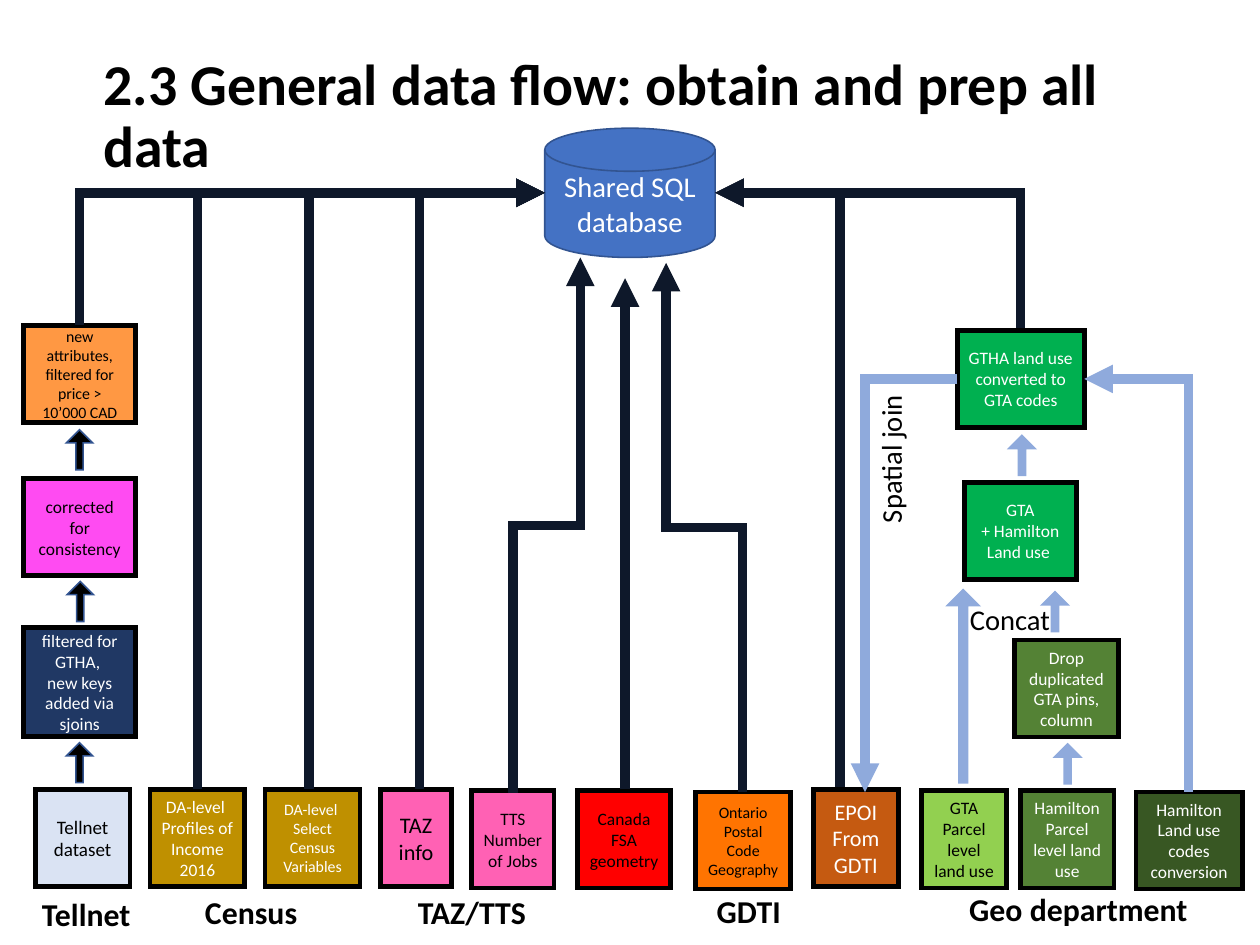
from lxml import etree
from pptx import Presentation
from pptx import util as u
from pptx.dml.color import RGBColor
from pptx.enum import shapes, text
from pptx.oxml.ns import qn

Pt = u.Pt
SHAPE = shapes.MSO_SHAPE
COLORS = {
    "black": "000000", "white": "FFFFFF", "ice": "DAE3F3", "navy": "203864",
    "magenta": "FF4BF2", "peach": "FF9843", "gold": "BF9000", "pink": "FF61B4",
    "red": "FF0000", "orange": "FF7401", "rust": "C55A11", "lime": "92D050",
    "olive": "548235", "forest": "385723", "green": "00B050", "blue": "4472C4",
    "edge": "325491", "flow": "0E182A", "join": "8FAADC",
}
ROW = (0, 497.2, 793.75, 61.2)
REGISTRY = (14.9, 205, 70.6, 61.2)
GEO = (509.5, 208, 240, 290)
DATABASE = (343.2, 80.8, 107.3, 81.4)


def rgb(name):
    return RGBColor.from_string(COLORS[name])


def write(tf, lines, size, color, align=None, bold=False):
    for i, line in enumerate(lines):
        p = tf.paragraphs[0] if i == 0 else tf.add_paragraph()
        p.alignment = align
        r = p.add_run()
        r.text = line
        r.font.name, r.font.size, r.font.bold = "Calibri", Pt(size), bold
        r.font.color.rgb = rgb(color)


def outline(sp, color, width):
    sp.line.color.rgb = rgb(color)
    sp.line.width = Pt(width)
    ln = sp.element.spPr.find(qn("a:ln"))
    etree.SubElement(ln, qn("a:miter"), lim="800000")
    return ln


def add_block(s, kind, box, fill, edge="black", width=3, lines=(), size=11, color="white"):
    sp = s.shapes.add_shape(kind, *map(Pt, box))
    sp.shadow.inherit = False
    sp.fill.solid()
    sp.fill.fore_color.rgb = rgb(fill)
    outline(sp, edge, width)
    tf = sp.text_frame
    tf.word_wrap = True
    tf.vertical_anchor = text.MSO_ANCHOR.MIDDLE
    write(tf, lines, size, color, text.PP_ALIGN.CENTER)
    return sp


def add_step_arrow(s, x, y, fill, edge, w=16.6, h=25.2):
    sp = add_block(s, SHAPE.UP_ARROW, (x, y, w, h), fill, edge, 1)
    sp.adjustments[0] = 0.272
    sp.adjustments[1] = 0.5


def add_label(s, box, line, size=18, align=None, bold=False):
    sp = s.shapes.add_textbox(*map(Pt, box))
    sp.text_frame.word_wrap = False
    sp.text_frame.auto_size = text.MSO_AUTO_SIZE.SHAPE_TO_FIT_TEXT
    write(sp.text_frame, [line], size, "black", align, bold)
    return sp


def add_flow(s, start, end, color, preset="bentConnector2", rise=True):
    """Elbow arrow; a rising one leaves its start vertically."""
    (x1, y1), (x2, y2) = start, end
    if rise:
        # A turned connector has its width and height swapped about its centre
        side = 1 if x2 > x1 else -1
        cx, cy = (x1 + x2) / 2, (y1 + y2) / 2
        dx, dy = side * (y1 - y2) / 2, abs(x2 - x1) / 2
        x1, y1, x2, y2 = cx + dx, cy + dy, cx - dx, cy - dy
    c = s.shapes.add_connector(shapes.MSO_CONNECTOR.ELBOW, *map(Pt, (x1, y1, x2, y2)))
    spPr = c.element.spPr
    spPr.find(qn("a:prstGeom")).set("prst", preset)
    if rise:
        spPr.find(qn("a:xfrm")).set("rot", str((90 if side > 0 else 270) * 60000))
    ln = outline(c, color, 6)
    etree.SubElement(ln, qn("a:tailEnd"), type="triangle")
    etree.SubElement(spPr, qn("a:effectLst"))


def add_title(s, box):
    sp = s.shapes.title
    sp.left, sp.top, sp.width, sp.height = map(Pt, box)
    tf = sp.text_frame
    tf.word_wrap = True
    tf.auto_size = text.MSO_AUTO_SIZE.NONE
    tf.vertical_anchor = text.MSO_ANCHOR.TOP
    write(tf, ["2.3 General data flow: obtain and prep all data"], 36.4, "black",
          text.PP_ALIGN.LEFT, True)
    tf.paragraphs[0].line_spacing = 0.9


def add_sources(s, box):
    left, top, _, height = box
    # Source datasets: x, drop, width, fill, size, text colour, lines
    for x, drop, w, fill, size, color, lines in [
        (22.2, 0, 59.8, "ice", 12, "black", ["Tellnet dataset"]),
        (94.5, 0, 59.8, "gold", 11, "white", ["DA-level ", "Profiles of Income", "2016"]),
        (167, 0, 59.8, "gold", 10, "white", ["DA-level ", "Select Census Variables"]),
        (239.8, 0, 44.6, "pink", 14, "black", ["TAZ info"]),
        (297.2, 0.9, 51.8, "pink", 11, "black", ["TTS Number of Jobs"]),
        (364, 0.9, 58.3, "red", 11, "black", ["Canada", "FSA geometry"]),
        (438.3, 1.6, 59.8, "orange", 10, "black", ["Ontario", "Postal Code Geography"]),
        (512.6, 0, 53.3, "rust", 14, "white", ["EPOI", "From GDTI"]),
        (580.7, 0.9, 53.3, "lime", 11, "black", ["GTA", "Parcel", "level land use"]),
        (642.8, 0.9, 59, "olive", 11, "white", ["Hamilton", "Parcel", "level land use"]),
        (715.6, 1.6, 67, "forest", 11, "white", ["Hamilton", "Land use codes", "conversion"]),
    ]:
        add_block(s, SHAPE.RECTANGLE, (left + x, top + drop, w, height), fill,
                  lines=lines, size=size, color=color)
    # Provider names
    for x, drop, w, name in [
        (11.5, 63, 77.8, "Tellnet"), (121, 61.5, 73.4, "Census"),
        (255.6, 61.5, 82.8, "TAZ/TTS"), (438.5, 61.2, 60.5, "GDTI"),
        (601.9, 59.6, 153.4, "Geo department"),
    ]:
        add_label(s, (left + x, top + drop, w, 31.7), name, 20, text.PP_ALIGN.RIGHT, True)


def add_registry(s, box):
    left, top, width, height = box
    for y, extra, fill, size, color, lines in [
        (0, 0, "peach", 10, "black", ["new attributes,", "filtered for price > 10’000 CAD"]),
        (96.4, 0, "magenta", 11, "black", ["corrected for consistency"]),
        (190.1, 7.9, "navy", 11, "white", ["filtered for GTHA, ", "new keys added via sjoins"]),
    ]:
        add_block(s, SHAPE.RECTANGLE, (left, top + y, width, height + extra), fill,
                  lines=lines, size=size, color=color)
    for x, y in [(26.9, 65.7), (27.4, 161.3), (26.9, 262.8)]:
        add_step_arrow(s, left + x, top + y, "black", "edge")


def add_geo(s, box):
    left, top = box[:2]
    # Land use steps
    for x, y, w, fill, lines in [
        (129.6, 195.1, 65.5, "olive", ["Drop duplicated", "GTA pins,", "column"]),
        (98, 95.7, 70.6, "green", ["GTA", "+ Hamilton", "Land use "]),
        (93.6, 0, 79.9, "green", ["GTHA land use converted to GTA codes"]),
    ]:
        add_block(s, SHAPE.RECTANGLE, (left + x, top + y, w, 61.2), fill, lines=lines)
    for x, y in [(154.8, 260.6), (146.8, 164.7), (126, 66.2)]:
        add_step_arrow(s, left + x, top + y, "join", "join")
    add_step_arrow(s, left + 87.2, top + 163.4, "join", "join", 20.2, 121.7)
    # Joins to and from the converted land use
    add_flow(s, (left + 93.6, top + 30.7), (left + 35.5, top + 290.9), "join", rise=False)
    add_flow(s, (left + 239.3, top + 290.9), (left + 173.5, top + 30.7), "join")
    add_label(s, (left + 94.4, top + 167.5, 65.5, 28.8), "Concat")
    add_label(s, (left + 3.7, top + 66.2, 95.8, 28.8), "Spatial join").rotation = 270


def add_database(s, box):
    left, top, width, height = box
    add_block(s, SHAPE.FLOWCHART_MAGNETIC_DISK, box, "blue", "edge", 1,
              ["Shared SQL", "database"], 18)
    # Flows into the sides
    middle = top + height / 2
    for x, y in [(50.2, 205), (124.4, 497.2), (194.8, 497), (264.2, 497.2),
                 (529.2, 496), (643, 208)]:
        end = left if x < left else left + width
        add_flow(s, (x, y), (end, middle), "flow")
    # Flows into the base
    for x, y, dx, gap in [(323.3, 499.7, 22.4, 0), (393.8, 496.8, 50.6, 13),
                          (467.8, 499, 76.4, 3.4)]:
        add_flow(s, (x, y), (left + dx, top + height + gap), "flow", "bentConnector3")


def main():
    prs = Presentation()
    prs.slide_width, prs.slide_height = Pt(793.75), Pt(595.25)
    s = prs.slides.add_slide(prs.slide_layouts[5])
    add_title(s, (58, 31.2, 697, 99.4))
    add_sources(s, ROW)
    add_registry(s, REGISTRY)
    add_database(s, DATABASE)
    add_geo(s, GEO)
    prs.save("out.pptx")


if __name__ == "__main__":
    main()
